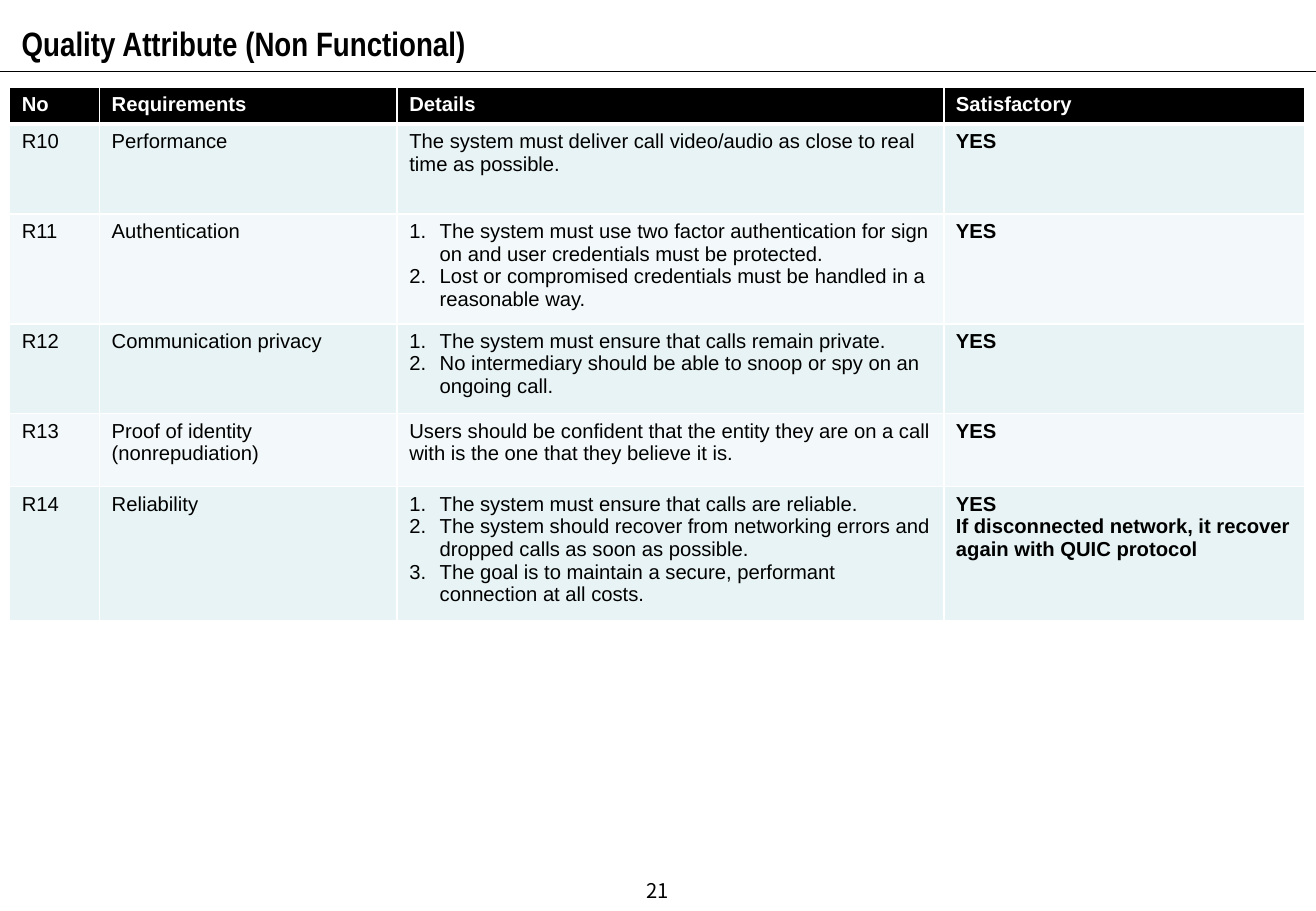
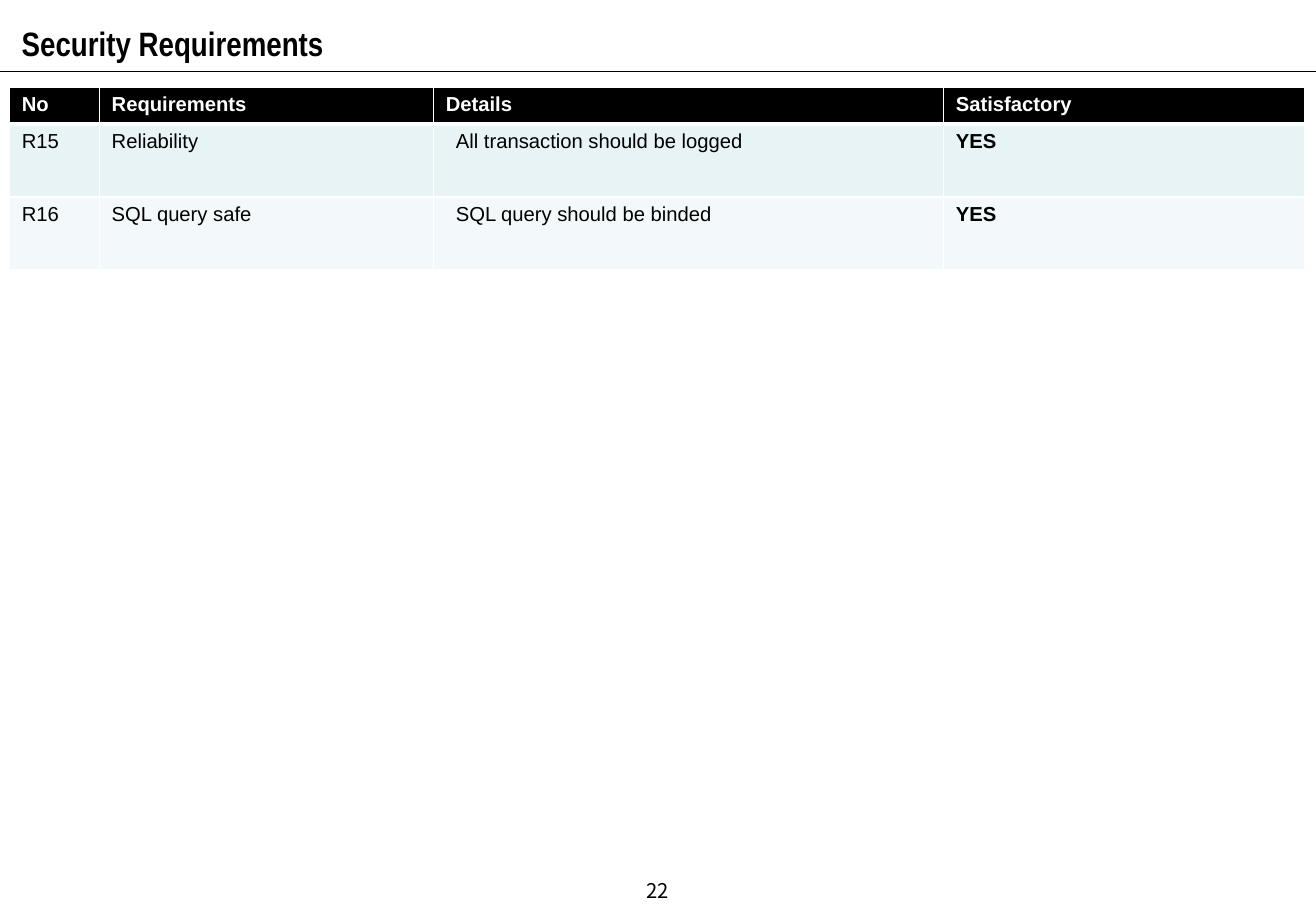
from dataclasses import dataclass

from lxml import etree
from pptx import Presentation
from pptx.dml.color import RGBColor
from pptx.enum import shapes, text
from pptx.oxml import ns
from pptx.util import Pt


@dataclass(frozen=True)
class Theme:
    """Colours, fonts and type sizes shared by the slides."""
    ink: str = "000000"
    paper: str = "FFFFFF"
    bands: tuple = ("E7F3F4", "F3F9FA")
    title_font: str = "Arial Narrow"
    table_font: str = "Arial"
    number_font: str = "Noto Sans CJK KR"
    title_size: float = 20
    body_size: float = 12
    grid_width: float = 1
    header_rule_width: float = 3


THEME = Theme()
PAGE_WIDTH, PAGE_HEIGHT = 780, 540
TITLE_BOX = (5.76, 5.04, 562.32, 31.68)
TITLE_RULE_TOP = 42.48
TABLE_ORIGIN = (5.76, 51.84)
NUMBER_BOX = (298.8, 513.36, 182.16, 28.8)
HEADER_HEIGHT = 21.3
NUMBER_INDENT = 18
HEADINGS = ("No", "Requirements", "Details", "Satisfactory")

SLIDES = [
    {
        "title": "Quality Attribute (Non Functional)",
        "number": "21",
        "columns": (53.28, 176.4, 324, 213.84),
        "heights": (53.3, 65.2, 53.3, 43.2, 78.8),
        "detail_indent": 0,
        "rows": [
            ("R10", "Performance",
             "The system must deliver call video/audio as close to real time as possible.", "YES"),
            ("R11", "Authentication",
             ["The system must use two factor authentication for sign on and user credentials must be protected.",
              "Lost or compromised credentials must be handled in a reasonable way."], "YES"),
            ("R12", "Communication privacy",
             ["The system must ensure that calls remain private.",
              "No intermediary should be able to snoop or spy on an ongoing call."], "YES"),
            ("R13", "Proof of identity (nonrepudiation)",
             "Users should be confident that the entity they are on a call with is the one that they believe it is.",
             "YES"),
            ("R14", "Reliability",
             ["The system must ensure that calls are reliable.",
              "The system should recover from networking errors and dropped calls as soon as possible.",
              "The goal is to maintain a secure, performant connection at all costs."],
             "YES\vIf disconnected network, it recover again with QUIC protocol"),
        ],
    },
    {
        "title": "Security Requirements",
        "number": "22",
        "columns": (53.28, 198, 302.4, 213.84),
        "heights": (43.2, 43.2),
        "detail_indent": 6,
        "rows": [
            ("R15", "Reliability", "All transaction should be logged", "YES"),
            ("R16", "SQL query safe", "SQL query should be binded", "YES"),
        ],
    },
]


def format_runs(paragraph, font_name, size, color, bold=False):
    """Give every run of a paragraph the same font."""
    for run in paragraph.runs:
        run.font.name = font_name
        run.font.size = Pt(size)
        run.font.bold = bold
        run.font.color.rgb = RGBColor.from_string(color)


def add_text(slide, box, content, font_name, size, bold=False):
    """Add a one-paragraph text box and return its shape."""
    shape = slide.shapes.add_textbox(*map(Pt, box))
    shape.text_frame.word_wrap = True
    paragraph = shape.text_frame.paragraphs[0]
    paragraph.text = content
    format_runs(paragraph, font_name, size, THEME.ink, bold)
    return shape


def add_title(slide, box, rule_top, title):
    """Add the title and the full-width rule below it."""
    rule = slide.shapes.add_connector(
        shapes.MSO_CONNECTOR.STRAIGHT, 0, Pt(rule_top), Pt(PAGE_WIDTH), Pt(rule_top))
    rule.line.color.rgb = RGBColor.from_string(THEME.ink)
    rule.line.width = Pt(0.75)
    etree.SubElement(rule._element.spPr, ns.qn("a:effectLst"))
    shape = add_text(slide, box, title, THEME.title_font, THEME.title_size, True)
    shape.text_frame.auto_size = text.MSO_AUTO_SIZE.SHAPE_TO_FIT_TEXT
    shape.text_frame.paragraphs[0].line_spacing = 1.2


def add_page_number(slide, box, number):
    """Add the centred page number."""
    shape = add_text(slide, box, number, THEME.number_font, THEME.body_size)
    shape.text_frame.vertical_anchor = text.MSO_ANCHOR.MIDDLE
    shape.text_frame.paragraphs[0].alignment = text.PP_ALIGN.CENTER


def set_borders(cell, top, bottom):
    """Draw the cell's four borders in the paper colour."""
    properties = cell._tc.get_or_add_tcPr()
    widths = {"lnL": THEME.grid_width, "lnR": THEME.grid_width, "lnT": top, "lnB": bottom}
    for position, (side, width) in enumerate(widths.items()):
        border = etree.Element(ns.qn("a:" + side), w=str(Pt(width)))
        fill = etree.SubElement(border, ns.qn("a:solidFill"))
        etree.SubElement(fill, ns.qn("a:srgbClr"), val=THEME.paper)
        properties.insert(position, border)


def set_indent(paragraph, margin, numbered=False):
    """Indent a paragraph, with a hanging number when asked."""
    properties = paragraph._p.get_or_add_pPr()
    properties.set("marL", str(Pt(margin)))
    properties.set("indent", str(-Pt(margin) if numbered else 0))
    if numbered:
        color = etree.SubElement(properties, ns.qn("a:buClr"))
        etree.SubElement(color, ns.qn("a:srgbClr"), val=THEME.ink)
        etree.SubElement(properties, ns.qn("a:buFont"), typeface="+mj-lt")
        etree.SubElement(properties, ns.qn("a:buAutoNum"), type="arabicPeriod")


def fill_cell(cell, content, fill, color, bold, indent=0):
    """Fill a cell with one paragraph, or with a numbered list."""
    cell.fill.solid()
    cell.fill.fore_color.rgb = RGBColor.from_string(fill)
    numbered = isinstance(content, list)
    frame = cell.text_frame
    for index, item in enumerate(content if numbered else [content]):
        paragraph = frame.add_paragraph() if index else frame.paragraphs[0]
        paragraph.text = item
        format_runs(paragraph, THEME.table_font, THEME.body_size, color, bold)
        if numbered or indent:
            set_indent(paragraph, NUMBER_INDENT if numbered else indent, numbered)


def add_requirements(slide, origin, columns, heights, rows, detail_indent):
    """Add the requirements table with its top left corner at origin."""
    row_heights = (HEADER_HEIGHT, *heights)
    size = (sum(columns), sum(row_heights))
    table = slide.shapes.add_table(
        len(row_heights), len(columns), *map(Pt, (*origin, *size))).table
    table.horz_banding = False
    for column, width in zip(table.columns, columns):
        column.width = Pt(width)
    for row_index, (row, height) in enumerate(zip(table.rows, row_heights)):
        row.height = Pt(height)
        header = row_index == 0
        contents = HEADINGS if header else rows[row_index - 1]
        fill = THEME.ink if header else THEME.bands[(row_index - 1) % 2]
        color = THEME.paper if header else THEME.ink
        top = THEME.header_rule_width if row_index == 1 else THEME.grid_width
        bottom = THEME.header_rule_width if header else THEME.grid_width
        for heading, cell, content in zip(HEADINGS, row.cells, contents):
            indent = detail_indent if heading == "Details" and not header else 0
            fill_cell(cell, content, fill, color, header or heading == "Satisfactory", indent)
            set_borders(cell, top, bottom)


def add_requirements_slide(presentation, data):
    """Add one slide with title, requirements table and page number."""
    slide = presentation.slides.add_slide(presentation.slide_layouts[6])
    add_title(slide, TITLE_BOX, TITLE_RULE_TOP, data["title"])
    add_requirements(slide, TABLE_ORIGIN, data["columns"], data["heights"],
                     data["rows"], data["detail_indent"])
    add_page_number(slide, NUMBER_BOX, data["number"])


def main():
    """Build and save the presentation."""
    presentation = Presentation()
    presentation.slide_width = Pt(PAGE_WIDTH)
    presentation.slide_height = Pt(PAGE_HEIGHT)
    for data in SLIDES:
        add_requirements_slide(presentation, data)
    presentation.save("out.pptx")


if __name__ == "__main__":
    main()
